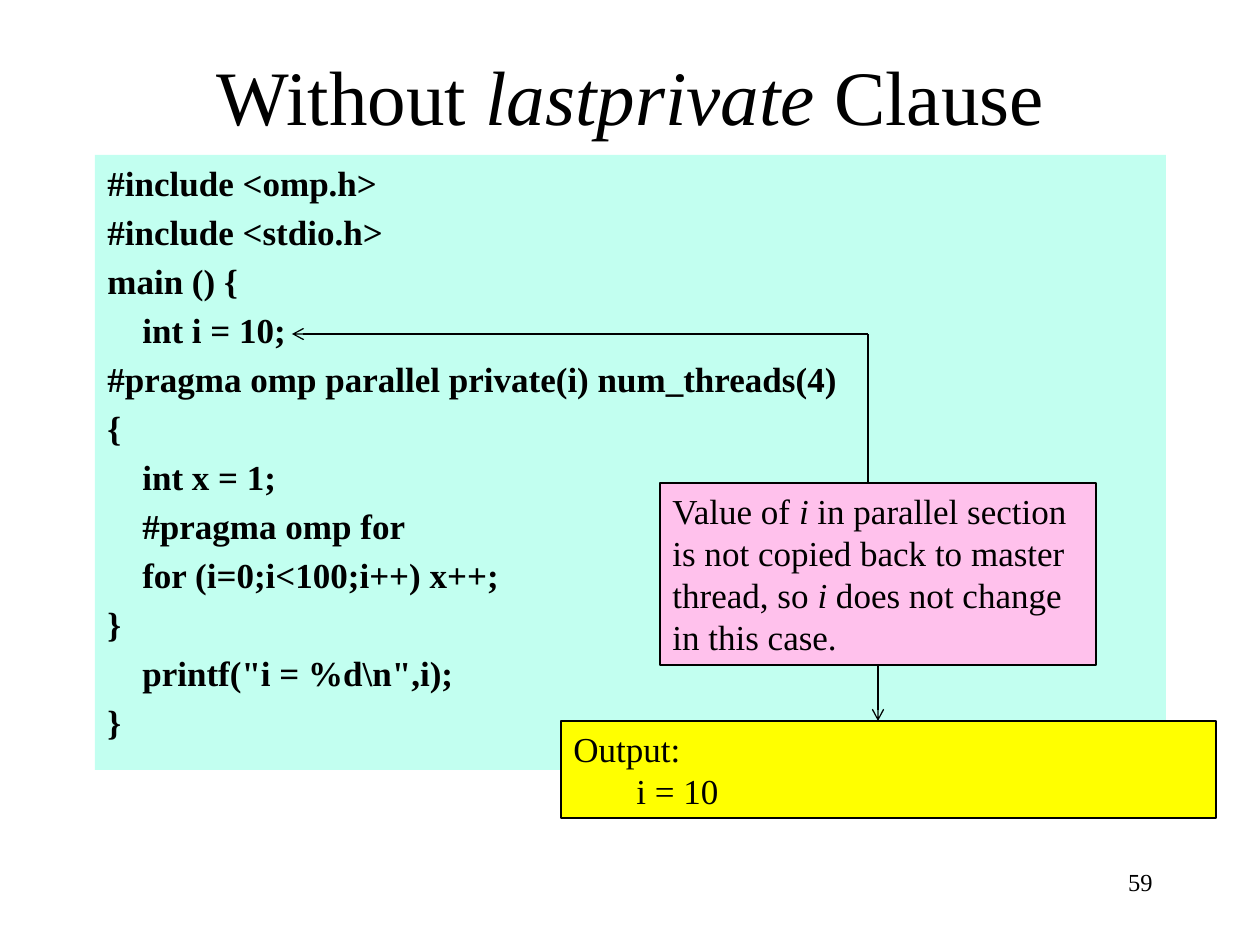
from lxml.etree import SubElement
from pptx import Presentation
from pptx.dml.color import RGBColor
from pptx.enum.shapes import MSO_CONNECTOR, MSO_SHAPE
from pptx.enum.text import MSO_ANCHOR, MSO_AUTO_SIZE, PP_ALIGN
from pptx.oxml.ns import qn
from pptx.util import Emu, Pt

FONT = "Times New Roman"
BLACK = "000000"
CODE_LINES = [
    "#include <omp.h>",
    "#include <stdio.h>",
    "main () {",
    "    int i = 10;",
    "#pragma omp parallel private(i) num_threads(4)",
    "{",
    "    int x = 1;",
    "    #pragma omp for",
    "    for (i=0;i<100;i++) x++;",
    "}",
    '    printf("i = %d\\n",i);',
    "}",
]


def px(length):
    return Emu(round(length * 914400 / 126))


def color(value):
    return RGBColor.from_string(value)


def write(shape, paragraphs, size, align=PP_ALIGN.LEFT, anchor=MSO_ANCHOR.TOP, bold=False, gap=0):
    frame = shape.text_frame
    frame.word_wrap = True
    frame.vertical_anchor = anchor
    for index, runs in enumerate(paragraphs):
        paragraph = frame.add_paragraph() if index else frame.paragraphs[0]
        paragraph.alignment = align
        if index and gap:
            paragraph.space_before = Pt(gap)
        for text, italic in runs:
            run = paragraph.add_run()
            run.text = text
            run.font.name = FONT
            run.font.size = Pt(size)
            run.font.bold = bold
            run.font.italic = italic
            run.font.color.rgb = color(BLACK)


def add_text(slide, box, paragraphs, size, **options):
    shape = slide.shapes.add_textbox(*map(px, box))
    write(shape, paragraphs, size, **options)


def add_panel(slide, box, fill, outlined):
    shape = slide.shapes.add_shape(MSO_SHAPE.RECTANGLE, *map(px, box))
    shape.shadow.inherit = False
    shape.fill.solid()
    shape.fill.fore_color.rgb = color(fill)
    if outlined:
        shape.line.color.rgb = color(BLACK)
        shape.line.width = Pt(0.75)
    else:
        shape.line.fill.background()
    return shape


def add_line(slide, start, end, arrow=False):
    points = map(px, (*start, *end))
    connector = slide.shapes.add_connector(MSO_CONNECTOR.STRAIGHT, *points)
    connector.line.color.rgb = color(BLACK)
    connector.line.width = Pt(0.75)
    if arrow:
        SubElement(connector.line._get_or_add_ln(), qn("a:tailEnd"), type="arrow")
    SubElement(connector._element.spPr, qn("a:effectLst"))
    return connector


def add_title(slide, box):
    runs = [("Without ", False), ("lastprivate", True), (" Clause", False)]
    add_text(slide, box, [runs], 44, align=PP_ALIGN.CENTER, anchor=MSO_ANCHOR.MIDDLE)


def add_code(slide, box):
    panel = add_panel(slide, box, "C2FFF0", outlined=False)
    write(panel, [[(line, False)] for line in CODE_LINES], 20, bold=True, gap=4)


def add_page_number(slide, box):
    add_text(slide, box, [[("59", False)]], 14, align=PP_ALIGN.RIGHT)


def add_output(slide, box):
    panel = add_panel(slide, box, "FFFF00", outlined=True)
    write(panel, [[("Output:", False)], [("\ti = 10", False)]], 20)
    panel.text_frame.auto_size = MSO_AUTO_SIZE.SHAPE_TO_FIT_TEXT


def add_explanation(slide, box, code_end, output_top):
    left, top, width, height = box
    panel = add_panel(slide, box, "FFC1EC", outlined=True)
    runs = [
        ("Value of ", False),
        ("i", True),
        (" in parallel section is not copied back to master thread, so ", False),
        ("i", True),
        (" does not change in this case.", False),
    ]
    write(panel, [runs], 20)
    panel.text_frame.auto_size = MSO_AUTO_SIZE.SHAPE_TO_FIT_TEXT

    corner = (left + 208, code_end[1])
    add_line(slide, corner, code_end, arrow=True)
    add_line(slide, corner, (corner[0], top))
    middle = left + width // 2
    output_arrow = add_line(slide, (middle, top + height), (middle, output_top), arrow=True)
    output_arrow.begin_connect(panel, 2)


def main():
    presentation = Presentation()
    presentation.slide_width = px(1260)
    presentation.slide_height = px(945)
    slide = presentation.slides.add_slide(presentation.slide_layouts[6])
    output_box = (561, 721, 655, 97)

    add_title(slide, (95, 16, 1071, 158))
    add_code(slide, (95, 155, 1071, 615))
    add_page_number(slide, (903, 861, 262, 63))
    add_output(slide, output_box)
    add_explanation(slide, (660, 483, 436, 182), code_end=(292, 334), output_top=output_box[1])
    presentation.save("out.pptx")


if __name__ == "__main__":
    main()
